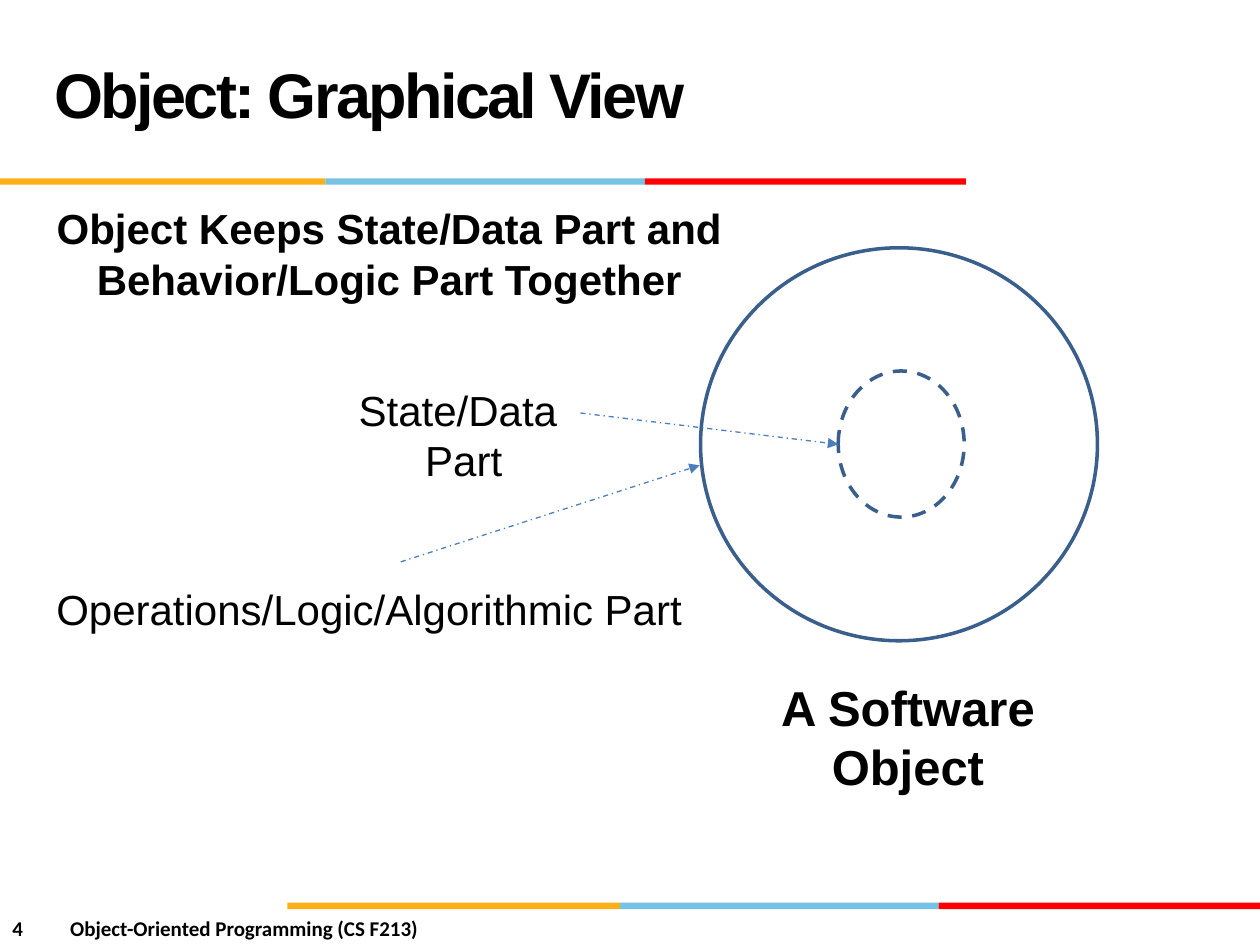
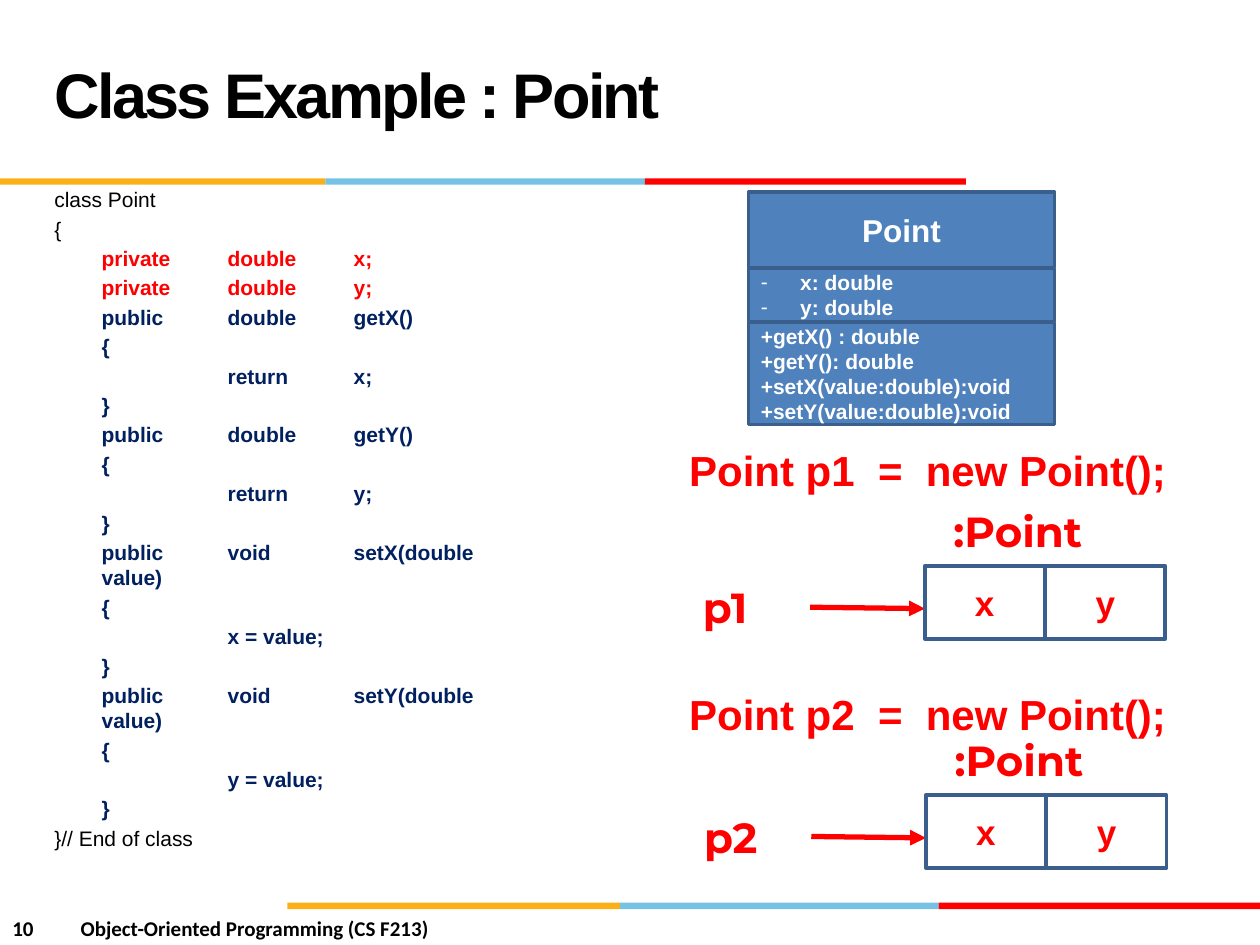
from pptx import Presentation
from pptx.dml.color import RGBColor
from pptx.enum.dml import MSO_LINE
from pptx.enum.shapes import MSO_CONNECTOR, MSO_SHAPE
from pptx.enum.text import MSO_ANCHOR, MSO_AUTO_SIZE, PP_ALIGN
from pptx.oxml.ns import qn
from pptx.util import Pt
from lxml.etree import SubElement

HUE = {"gold": "FCB017", "sky": "76C2E5", "red": "FF0000", "black": "000000",
       "white": "FFFFFF", "navy": "002060", "blue": "4F81BD",
       "edge": "3A5F8C", "arrow": "4B7EBC"}
BANDS = [((0, 186, 368.6, 552), 101.9, 3.6),
         ((164.2, 354.2, 536.4, 720), 515.8, 3.8)]
COURSE = "Object-Oriented Programming (CS F213)"

LABELS = [
    ((405.4, 383.8, 226.8, 74.9), ["A Software Object"], 28, True),
    ((153, 216, 223.9, 65.5), ["State/Data ", "Part"], 24, False),
    ((5, 329.8, 411.8, 36), ["Operations/Logic/Algorithmic Part"], 24, False),
    ((22.3, 112.3, 400.3, 65.5),
     ["Object Keeps State/Data Part and ", "Behavior/Logic Part Together"], 24, True),
]
RINGS = [((479, 212, 72, 83.5), MSO_LINE.DASH),
         ((400.3, 141.6, 226.8, 224.6), None)]
ARROWS = [(331.7, 236, 479, 253.9), (229, 321.1, 399.8, 265.9)]

CODE = [
    ("black", ["class Point", "{"]),
    ("red", ["\tprivate\tdouble\tx;", "\tprivate\tdouble\ty;"]),
    ("navy", ["\tpublic\tdouble\tgetX()", "\t{", "\t\treturn \tx;", "\t}",
              "\tpublic\tdouble\tgetY()", "\t{", "\t\treturn \ty;", "\t}",
              "\tpublic\tvoid\tsetX(double value)", "\t{", "\t\tx = value;", "\t}",
              "\tpublic\tvoid\tsetY(double value)", "\t{", "\t\ty = value;", "\t}"]),
    ("black", ["}// End of class"]),
]
FIELDS = ["x: double", "y: double"]
CALLS = ["+getX() : double", "+getY(): double",
         "+setX(value:double):void", "+setY(value:double):void"]
UML = [(109.8, 43.2, ["Point"], 18, PP_ALIGN.CENTER),
       (153.4, 30.4, FIELDS, 12, PP_ALIGN.LEFT),
       (184.3, 58.3, CALLS, 12, PP_ALIGN.LEFT)]
POINTS = [("p1", 250.6, 0, 0), ("p2", 389.8, 0.6, 131)]


def rgb(name):
    return RGBColor.from_string(HUE[name])


def style(para, size, hue="black", bold=False, font="Arial", align=PP_ALIGN.LEFT):
    para.alignment = align
    para.font.name = font
    para.font.size = Pt(size)
    para.font.bold = bold
    para.font.color.rgb = rgb(hue)


def indent(para, left):
    prop = para._p.get_or_add_pPr()
    prop.set("marL", str(Pt(left)))
    prop.set("indent", str(-Pt(left)))
    return prop


def write(frame, lines, *look, **more):
    for num, line in enumerate(lines):
        para = frame.paragraphs[0] if num == 0 else frame.add_paragraph()
        para.text = line
        style(para, *look, **more)
    return frame


def text(slide, box, lines, *look, wrap=True, grow=True, **more):
    frame = slide.shapes.add_textbox(*map(Pt, box)).text_frame
    frame.word_wrap = wrap
    frame.auto_size = MSO_AUTO_SIZE.SHAPE_TO_FIT_TEXT if grow else MSO_AUTO_SIZE.NONE
    return write(frame, lines, *look, **more)


def block(slide, kind, box, fill=None, edge=None, dash=None):
    shape = slide.shapes.add_shape(kind, *map(Pt, box))
    shape.shadow.inherit = False
    if fill:
        shape.fill.solid()
        shape.fill.fore_color.rgb = rgb(fill)
    else:
        shape.fill.background()
    if edge:
        shape.line.color.rgb = rgb(edge)
        shape.line.width = Pt(2)
        if dash:
            shape.line.dash_style = dash
    else:
        shape.line.fill.background()
    shape.text_frame.vertical_anchor = MSO_ANCHOR.MIDDLE
    return shape


def arrow(slide, ends, hue, width, dash=None):
    link = slide.shapes.add_connector(MSO_CONNECTOR.STRAIGHT, *map(Pt, ends))
    link.line.color.rgb = rgb(hue)
    link.line.width = Pt(width)
    if dash:
        link.line.dash_style = dash
    SubElement(link.line._get_or_add_ln(), qn("a:tailEnd"), type="triangle")
    SubElement(link._element.spPr, qn("a:effectLst"))


def page(title, num, gap):
    slide = deck.slides.add_slide(deck.slide_layouts[6])
    for edges, top, high in BANDS:
        for left, right, hue in zip(edges, edges[1:], ("gold", "sky", "red")):
            block(slide, MSO_SHAPE.RECTANGLE, (left, top, right - left, high), hue)
    foot = text(slide, (0, 519.5, 360, 21.6), [f"{num}\t{COURSE}"], 12,
                bold=True, font="Calibri")
    indent(foot.paragraphs[0], gap)
    head = text(slide, (24, 11.7, 498.2, 90), [title], 36, bold=True, grow=False)
    head.vertical_anchor = MSO_ANCHOR.MIDDLE
    para = head.paragraphs[0]
    para.line_spacing = Pt(36)
    para.runs[0]._r.get_or_add_rPr().set("spc", "-150")
    return slide


def view():
    slide = page("Object: Graphical View", 4, 33)
    for box, dash in RINGS:
        block(slide, MSO_SHAPE.OVAL, box, edge="edge", dash=dash)
    for ends in ARROWS:
        arrow(slide, ends, "arrow", 0.75, MSO_LINE.DASH_DOT)
    for box, lines, size, bold in LABELS:
        text(slide, box, lines, size, bold=bold, align=PP_ALIGN.CENTER)


def listing(slide):
    lines = [(line, hue) for hue, group in CODE for line in group]
    frame = text(slide, (24, 103.1, 290.9, 404.6),
                 [line for line, hue in lines], 12, grow=False)
    for para, (line, hue) in zip(frame.paragraphs, lines):
        style(para, 12, hue, hue != "black")
        para.space_before = Pt(2.4)
        indent(para, 27).set("defTabSz", str(Pt(72)))


def diagram(slide):
    for top, high, lines, size, align in UML:
        cell = block(slide, MSO_SHAPE.RECTANGLE, (427.7, top, 175, high), "blue", "edge")
        frame = write(cell.text_frame, lines, size, "white", True, align=align)
        if lines is FIELDS:
            for para in frame.paragraphs:
                prop = indent(para, 22.5)
                face = prop.makeelement(qn("a:buFont"), {"typeface": "Arial"})
                mark = prop.makeelement(qn("a:buChar"), {"char": "-"})
                prop.insert(0, face)
                prop.insert(1, mark)


def object_at(slide, name, top, dx, dy):
    look = {"hue": "red", "bold": True}
    text(slide, (366, top, 328.3, 36), [f"Point {name}  =  new Point();"], 24,
         align=PP_ALIGN.CENTER, **look)
    for label, left, high, wide in ((name, 394.6, 329, 68.4), (":Point", 537.8, 285.1, 90.7)):
        text(slide, (left + dx, high + dy, wide, 36), [label], 24,
             wrap=False, font="Montserrat", **look)
    arrow(slide, (463 + dx, 347 + dy, 528.5 + dx, 347.8 + dy), "red", 3)
    for num, field in enumerate("xy"):
        box = (528.5 + dx + num * 69, 323.3 + dy, 68.4, 41.8)
        cell = block(slide, MSO_SHAPE.RECTANGLE, box, edge="edge")
        write(cell.text_frame, [field], 20, align=PP_ALIGN.CENTER, **look)


def example():
    slide = page("Class Example : Point", 10, 39)
    listing(slide)
    diagram(slide)
    for item in POINTS:
        object_at(slide, *item)


deck = Presentation()
deck.slide_width, deck.slide_height = Pt(720), Pt(540)
view()
example()
deck.save("out.pptx")
